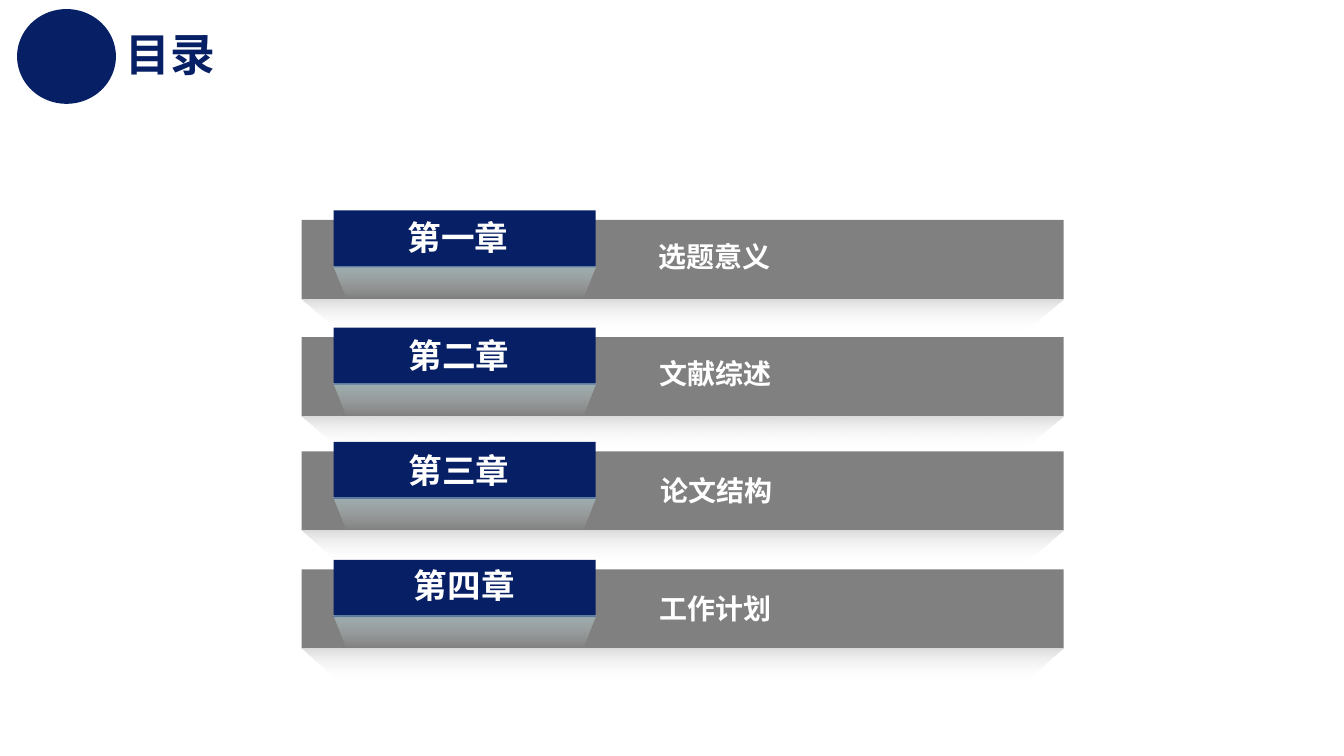
from dataclasses import dataclass

from lxml.etree import SubElement
from pptx import Presentation
from pptx.dml.color import RGBColor
from pptx.enum.shapes import MSO_SHAPE
from pptx.enum.text import MSO_ANCHOR, PP_ALIGN
from pptx.oxml.ns import qn
from pptx.shapes.autoshape import Shape
from pptx.slide import Slide
from pptx.util import Pt

NAVY = RGBColor(0x07, 0x1F, 0x65)
GRAY = RGBColor(0x80, 0x80, 0x80)
LIGHT_GRAY = RGBColor(0xDD, 0xDD, 0xDD)
PALE_TEAL = RGBColor(0xBB, 0xE0, 0xE3)
WHITE = RGBColor(0xFF, 0xFF, 0xFF)

CJK_FONT = "Noto Sans CJK SC"
TITLE_FONT = "Montserrat"

BAR_LEFT, BAR_WIDTH, BAR_HEIGHT = 215.5, 544.3, 56.7
TAB_LEFT, TAB_WIDTH, TAB_HEIGHT = 238.3, 187.2, 40.8
TAB_RISE = 6.8
FLAP_OFFSET = 33.2
FOLD_HEIGHT = 22.5


@dataclass(frozen=True)
class Chapter:
    label: str
    topic: str
    bar_top: float
    label_left: float
    label_top: float
    topic_left: float
    topic_top: float


CHAPTERS = [
    Chapter("第一章", "选题意义", 157, 259.2, 151.4, 463.2, 167.2),
    Chapter("第二章", "文献综述", 240.8, 259.9, 235.6, 464.2, 251.1),
    Chapter("第三章", "论文结构", 322.4, 259.9, 318, 464.9, 335),
    Chapter("第四章", "工作计划", 406.8, 263.7, 400.2, 464.2, 418.8),
]


def add_solid(slide: Slide, kind: MSO_SHAPE, left: float, top: float,
              width: float, height: float, color: RGBColor) -> Shape:
    shape = slide.shapes.add_shape(kind, Pt(left), Pt(top), Pt(width), Pt(height))
    shape.shadow.inherit = False
    shape.fill.solid()
    shape.fill.fore_color.rgb = color
    shape.line.fill.background()
    return shape


def add_fold(slide: Slide, left: float, top: float, width: float,
             inset: float, color: RGBColor, opacity: int) -> Shape:
    """Draw a trapezoid, narrower below, that fades downwards to clear white."""
    right, bottom = left + width, top + FOLD_HEIGHT
    corners = [(left + inset, bottom), (right - inset, bottom), (right, top)]
    builder = slide.shapes.build_freeform(Pt(left), Pt(top))
    builder.add_line_segments([(Pt(x), Pt(y)) for x, y in corners], close=True)
    shape = builder.convert_to_shape()
    shape.shadow.inherit = False
    shape.line.fill.background()
    shape.fill.gradient()
    shape.fill.gradient_angle = 270
    for stop, stop_color in zip(shape.fill.gradient_stops, (color, WHITE)):
        stop.color.rgb = stop_color
    stop_elements = shape.element.spPr.iter(qn("a:srgbClr"))
    for element, percent in zip(stop_elements, (opacity, 0)):
        SubElement(element, qn("a:alpha")).set("val", str(percent * 1000))
    return shape


def add_text(slide: Slide, text: str, left: float, top: float, width: float,
             height: float, *, size: float, color: RGBColor = WHITE,
             font: str = CJK_FONT, align: PP_ALIGN = PP_ALIGN.LEFT,
             anchor: MSO_ANCHOR = MSO_ANCHOR.TOP,
             line_spacing: float = 1.0) -> Shape:
    shape = slide.shapes.add_textbox(Pt(left), Pt(top), Pt(width), Pt(height))
    frame = shape.text_frame
    frame.word_wrap = True
    frame.vertical_anchor = anchor
    paragraph = frame.paragraphs[0]
    paragraph.alignment = align
    paragraph.line_spacing = line_spacing
    run = paragraph.add_run()
    run.text = text
    run.font.name = font
    run.font.size = Pt(size)
    run.font.bold = True
    run.font.color.rgb = color
    east_asian = SubElement(run.font._element, qn("a:ea"))
    east_asian.set("typeface", CJK_FONT)
    return shape


def add_chapter(slide: Slide, chapter: Chapter) -> None:
    top = chapter.bar_top
    add_solid(slide, MSO_SHAPE.RECTANGLE, BAR_LEFT, top, BAR_WIDTH, BAR_HEIGHT, GRAY)
    add_solid(slide, MSO_SHAPE.RECTANGLE, TAB_LEFT, top - TAB_RISE,
              TAB_WIDTH, TAB_HEIGHT, NAVY)
    add_fold(slide, BAR_LEFT, top + BAR_HEIGHT, BAR_WIDTH, 27, LIGHT_GRAY, 100)
    add_fold(slide, TAB_LEFT, top + FLAP_OFFSET, TAB_WIDTH, 9.4, PALE_TEAL, 50)
    add_text(slide, chapter.label, chapter.label_left, chapter.label_top,
             136, 36, size=24, align=PP_ALIGN.CENTER)
    add_text(slide, chapter.topic, chapter.topic_left, chapter.topic_top,
             272, 31.5, size=20)


def main() -> None:
    presentation = Presentation()
    presentation.slide_width, presentation.slide_height = Pt(960), Pt(540)
    slide = presentation.slides.add_slide(presentation.slide_layouts[6])
    add_text(slide, "目录", 82.8, 6.5, 870.5, 55.4, size=32, color=NAVY,
             font=TITLE_FONT, anchor=MSO_ANCHOR.BOTTOM, line_spacing=0.9)
    add_solid(slide, MSO_SHAPE.OVAL, 12.2, 6.5, 70.6, 67.7, NAVY)
    for chapter in CHAPTERS:
        add_chapter(slide, chapter)
    presentation.save("out.pptx")


if __name__ == "__main__":
    main()
